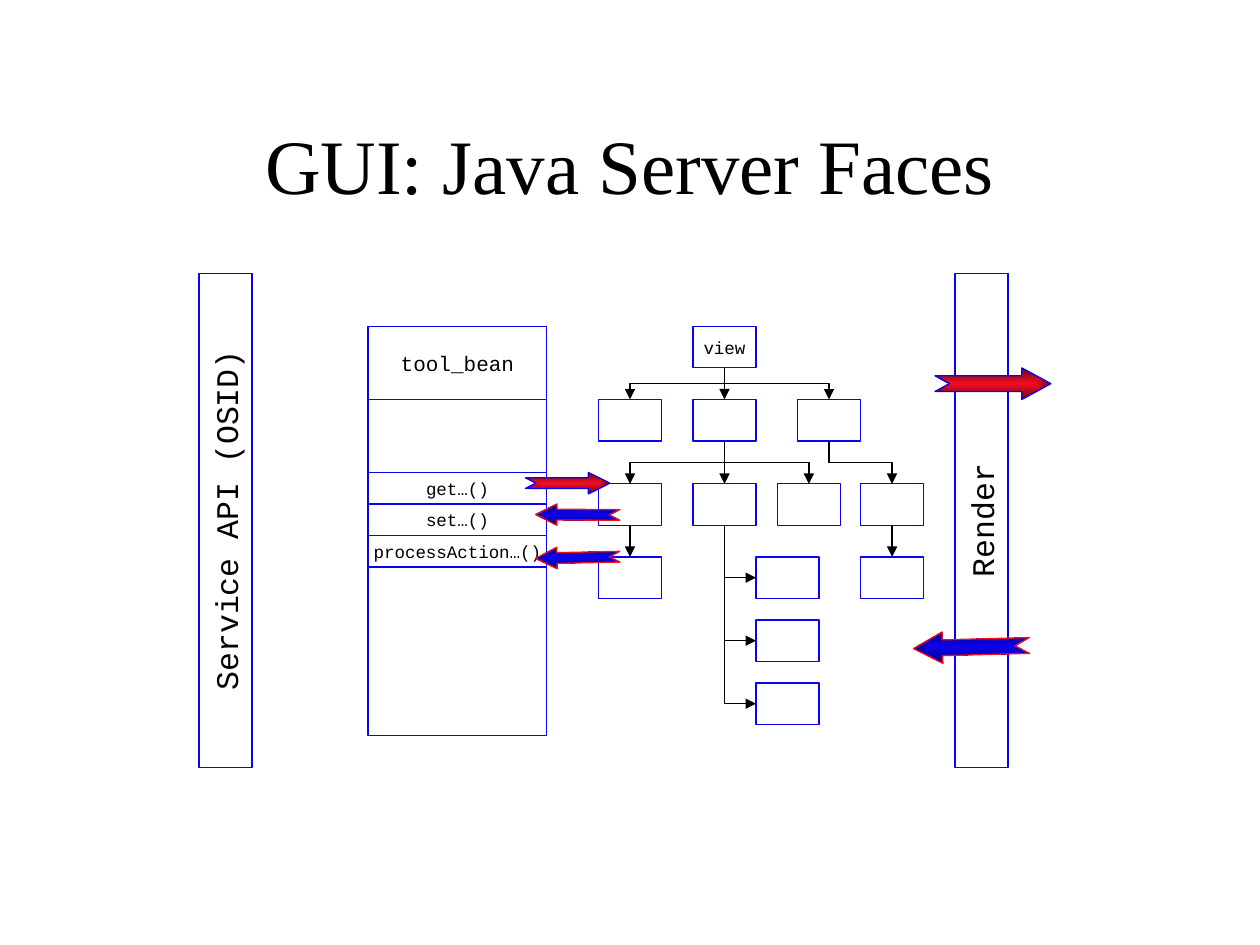
from lxml import etree
from pptx import Presentation
from pptx import util as u
from pptx.dml import color
from pptx.enum import shapes, text
from pptx.oxml import ns

HUES = {"blue": "0C02F2", "navy": "05006F", "red": "F20D24",
        "wine": "6F0510", "black": "000000", "white": "FFFFFF"}
MONO = "Courier New"
BOX_W, BOX_H = 0.5, 0.33
ROWS = [2.59, 3.17, 3.84, 4.42]
LEAVES = [4.42, 4.92, 5.42]


def hue(name):
    return color.RGBColor.from_string(HUES[name])


def write(shape, words, size, font=MONO, wrap=False):
    frame = shape.text_frame
    frame.word_wrap = wrap
    frame.vertical_anchor = text.MSO_ANCHOR.MIDDLE
    para = frame.paragraphs[0]
    para.text = words
    para.alignment = text.PP_ALIGN.CENTER
    para.font.name = font
    para.font.size = u.Pt(size)
    para.font.color.rgb = hue("black")


def add_shape(slide, kind, left, top, width, height, line="blue"):
    shape = slide.shapes.add_shape(kind, *map(u.Inches, (left, top, width, height)))
    shape.shadow.inherit = False
    shape.line.color.rgb = hue(line)
    shape.line.width = u.Pt(0.75)
    return shape


def add_rect(slide, left, top, width, height, words="", size=10, fill=None):
    rect = add_shape(slide, shapes.MSO_SHAPE.RECTANGLE, left, top, width, height)
    if fill:
        rect.fill.solid()
        rect.fill.fore_color.rgb = hue(fill)
    else:
        rect.fill.background()
    if words:
        write(rect, words, size)
    return rect


def add_node(slide, mid, top, words=""):
    add_rect(slide, mid - BOX_W / 2, top, BOX_W, BOX_H, words, fill="white")


def add_link(slide, x1, y1, x2, y2, bend="bentConnector3"):
    kinds = shapes.MSO_CONNECTOR
    if x1 == x2:
        kind, ends = kinds.STRAIGHT, (x1, y1, x2, y2)
    else:
        kind = kinds.ELBOW
        mid_x, mid_y = (x1 + x2) / 2, (y1 + y2) / 2
        half_w, half_h = (y2 - y1) / 2, abs(x2 - x1) / 2
        side = -1 if x2 < x1 else 1
        ends = (mid_x + side * half_w, mid_y - half_h,
                mid_x - side * half_w, mid_y + half_h)
    link = slide.shapes.add_connector(kind, *map(u.Inches, ends))
    link.line.color.rgb = hue("black")
    link.line.width = u.Pt(0.75)
    props = link._element.spPr
    if x1 != x2:
        props.xfrm.set("rot", str((90 if x2 < x1 else 270) * 60000))
        props.find(ns.qn("a:prstGeom")).set("prst", bend)
    etree.SubElement(link.line._get_or_add_ln(), ns.qn("a:tailEnd"), type="triangle")
    etree.SubElement(props, ns.qn("a:effectLst"))


def add_arrow(slide, left, top, width, height, head, turn=0):
    inner, outer, edge = ("blue", "navy", "red") if turn else ("red", "wine", "blue")
    arrow = add_shape(slide, shapes.MSO_SHAPE.NOTCHED_RIGHT_ARROW,
                      left, top, width, height, edge)
    arrow.adjustments[0] = 0.5
    arrow.adjustments[1] = head
    arrow.rotation = turn
    arrow.fill.gradient()
    for stop, name, place in zip(arrow.fill.gradient_stops, (inner, outer), (0, 1)):
        stop.color.rgb = hue(name)
        stop.position = place
    grad = arrow._element.spPr.find(ns.qn("a:gradFill"))
    grad.remove(grad.find(ns.qn("a:lin")))
    shade = etree.SubElement(grad, ns.qn("a:path"), path="rect")
    etree.SubElement(shade, ns.qn("a:fillToRect"),
                     {side: "50000" for side in "ltrb"})


def add_bean(slide):
    left, width = 2.92, 1.42
    add_rect(slide, left, ROWS[0], width, 3.25)
    add_rect(slide, left, ROWS[0], width, 0.58, "tool_bean", 12)
    for row, words in enumerate(("get…()", "set…()", "processAction…()")):
        add_rect(slide, left, 3.75 + row * 0.25, width, 0.25, words)


def add_tree(slide):
    root, first, second, third = ROWS
    add_node(slide, 5.75, root, "view")
    for mid in (5, 5.75, 6.58):
        add_node(slide, mid, first)
        add_link(slide, 5.75, root + BOX_H, mid, first)
    for start, mid in ((5.75, 5), (5.75, 5.75), (5.75, 6.42), (6.58, 7.08)):
        add_node(slide, mid, second)
        add_link(slide, start, first + BOX_H, mid, second)
    for mid in (5, 7.08):
        add_node(slide, mid, third)
        add_link(slide, mid, second + BOX_H, mid, third)
    for top in LEAVES:
        add_node(slide, 6.25, top)
        add_link(slide, 5.75, second + BOX_H, 6, top + BOX_H / 2, "bentConnector2")


def add_bar(slide, left, words):
    bar = add_rect(slide, left, 3.92, 3.92, 0.42, words, 18)
    bar.rotation = 270


def add_title(slide, words):
    box = slide.shapes.add_textbox(*map(u.Inches, (0.75, 0.67, 8.5, 1.25)))
    write(box, words, 44, "Times New Roman", True)


def main():
    deck = Presentation()
    deck.slide_width, deck.slide_height = u.Inches(10), u.Inches(7.5)
    slide = deck.slides.add_slide(deck.slide_layouts[6])
    add_bean(slide)
    add_tree(slide)
    add_bar(slide, 5.83, "Render")
    add_arrow(slide, 7.42, 2.92, 0.92, 0.25, 0.92)
    add_arrow(slide, 7.25, 5.01, 0.92, 0.25, 0.92, 178.5)
    add_arrow(slide, 4.17, 3.75, 0.67, 0.17, 1)
    add_arrow(slide, 4.25, 4, 0.67, 0.17, 1, 180.3)
    add_arrow(slide, 4.25, 4.34, 0.67, 0.17, 1, 178.8)
    add_bar(slide, -0.17, "Service API (OSID)")
    add_title(slide, "GUI: Java Server Faces")
    deck.save("out.pptx")


if __name__ == "__main__":
    main()
